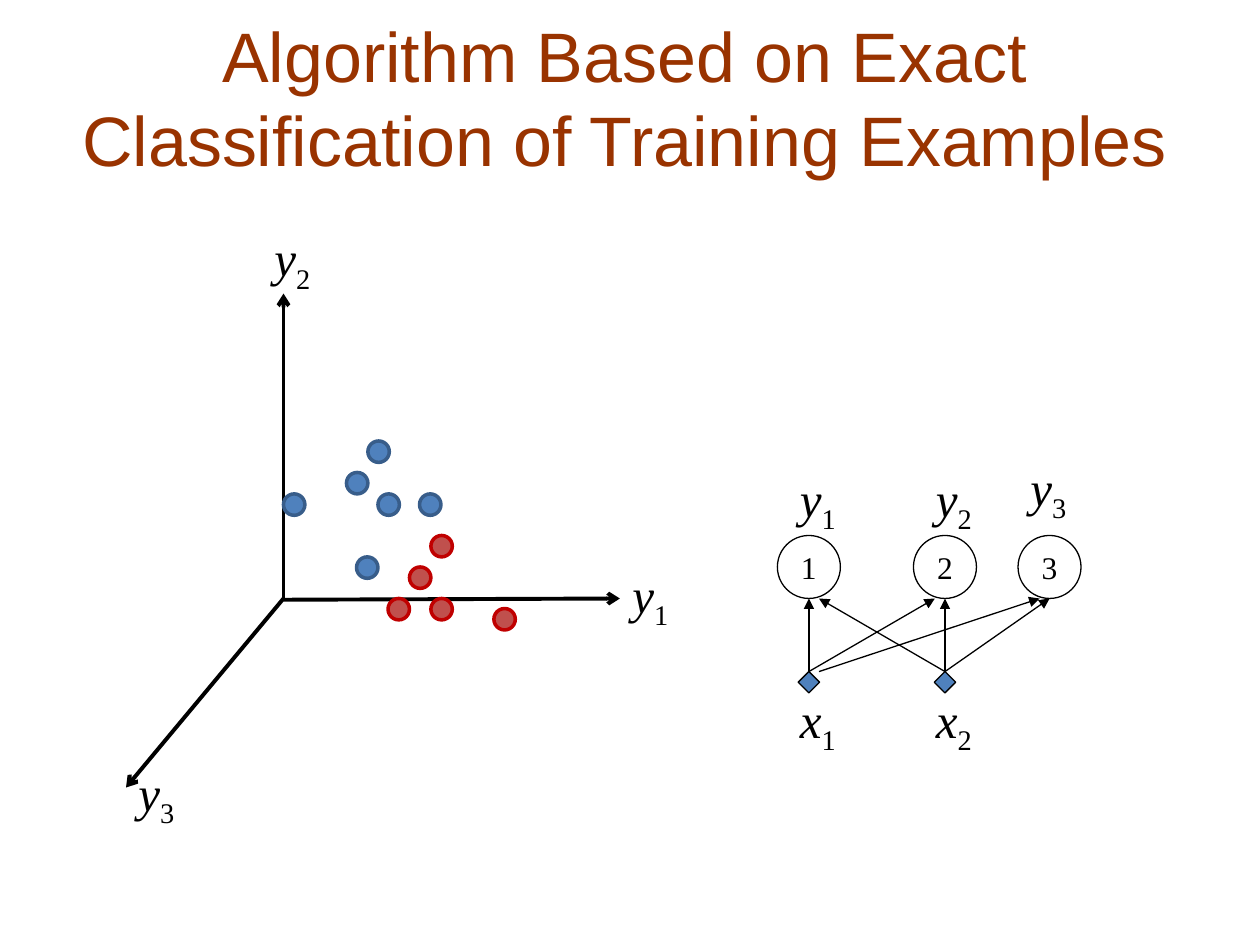
from lxml.etree import SubElement
from pptx import Presentation
from pptx.dml.color import RGBColor
from pptx.enum.shapes import MSO_CONNECTOR as LINK, MSO_SHAPE as SHAPE
from pptx.enum.text import MSO_ANCHOR as ANCHOR, PP_ALIGN as ALIGN
from pptx.oxml.ns import qn
from pptx.util import Inches, Pt

# Content
TITLE = "Algorithm Based on Exact Classification of Training Examples"
SERIF = "Times New Roman"
BLACK, BLUE = "000000", "4F81BD"
DOT, NODE = 0.17, 0.5
NODE_TOP, INPUT_TOP = 4.25, 5.33
NODE_BOTTOM = NODE_TOP + NODE

# Axes as (start, end)
AXES = [((2.25, 4.76), (2.25, 2.33)),
        ((2.25, 4.76), (4.92, 4.75)),
        ((2.25, 4.75), (1, 6.25))]
# Variable labels as (letter, subscript, left, top)
LABELS = [("y", "1", 4.92, 4.43), ("y", "2", 2.08, 1.76), ("y", "3", 1, 6),
          ("x", "1", 6.25, 5.42), ("x", "2", 7.33, 5.42),
          ("y", "1", 6.25, 3.67), ("y", "2", 7.33, 3.67), ("y", "3", 8.08, 3.58)]
# Data classes as (fill, outline, top-left corners)
CLASSES = [
    (BLUE, "385D8A", [(2.75, 3.75), (3, 3.92), (2.92, 3.5),
                      (3.33, 3.92), (2.25, 3.92), (2.83, 4.42)]),
    ("C0504D", "C00000", [(3.25, 4.5), (3.42, 4.75), (3.08, 4.75),
                          (3.42, 4.25), (3.92, 4.83)]),
]
# Network: centre x of each part, and links as (input, start x, end x)
NODES = {"1": 6.42, "2": 7.5, "3": 8.33}
INPUTS = {"x1": 6.42, "x2": 7.5}
LINKS = [("x1", 6.42, 6.42), ("x2", 7.5, 6.5), ("x1", 6.42, 7.42),
         ("x2", 7.5, 7.5), ("x1", 6.5, 8.25), ("x2", 7.5, 8.33)]

deck = Presentation()
deck.slide_width, deck.slide_height = Inches(10), Inches(7.5)
page = deck.slides.add_slide(deck.slide_layouts[6])


def color(value):
    return RGBColor.from_string(value)


def add_span(para, text, size, font=SERIF, ink=BLACK, italic=False):
    span = para.add_run()
    span.text = text
    span.font.size, span.font.name, span.font.italic = Pt(size), font, italic
    span.font.color.rgb = color(ink)
    return span


def add_box(left, top, width, height):
    box = page.shapes.add_textbox(*map(Inches, (left, top, width, height)))
    box.text_frame.word_wrap = True
    return box.text_frame


def add_mark(kind, left, top, size, fill, line, weight):
    mark = page.shapes.add_shape(kind, *map(Inches, (left, top, size, size)))
    mark.shadow.inherit = False
    if fill:
        mark.fill.solid()
        mark.fill.fore_color.rgb = color(fill)
    else:
        mark.fill.background()
    mark.line.color.rgb = color(line)
    mark.line.width = Pt(weight)
    return mark


def add_arrow(start, end, weight, head):
    arrow = page.shapes.add_connector(LINK.STRAIGHT, *map(Inches, start + end))
    arrow.line.color.rgb = color(BLACK)
    arrow.line.width = Pt(weight)
    SubElement(arrow.line._get_or_add_ln(), qn("a:tailEnd"), type=head)
    SubElement(arrow._element.spPr, qn("a:effectLst"))
    return arrow


# Title
frame = add_box(0.08, 0.44, 9.75, 0.65)
frame.vertical_anchor = ANCHOR.MIDDLE
frame.paragraphs[0].alignment = ALIGN.CENTER
add_span(frame.paragraphs[0], TITLE, 40, "Arial", "993300")

# Network nodes and inputs
for number, center in NODES.items():
    node = add_mark(SHAPE.OVAL, center - NODE / 2, NODE_TOP, NODE, None, BLACK, 0.75)
    frame = node.text_frame
    frame.word_wrap = False
    frame.vertical_anchor = ANCHOR.MIDDLE
    frame.paragraphs[0].alignment = ALIGN.CENTER
    add_span(frame.paragraphs[0], number, 18)

diamonds = {name: add_mark(SHAPE.DIAMOND, center - DOT / 2, INPUT_TOP, DOT, BLUE, BLACK, 0.75)
            for name, center in INPUTS.items()}

# Network links
for name, start, end in LINKS:
    link = add_arrow((start, INPUT_TOP), (end, NODE_BOTTOM), 0.75, "triangle")
    if start == INPUTS[name]:
        link.begin_connect(diamonds[name], 0)

# Axes
for start, end in AXES:
    add_arrow(start, end, 2.25, "arrow")

# Variable labels
for letter, subscript, left, top in LABELS:
    para = add_box(left, top, 0.67, 0.63).paragraphs[0]
    add_span(para, letter, 28, italic=True)
    lowered = add_span(para, subscript, 28)
    lowered.font._element.set("baseline", "-25000")

# Training examples
for fill, outline, corners in CLASSES:
    for left, top in corners:
        add_mark(SHAPE.OVAL, left, top, DOT, fill, outline, 2)

deck.save("out.pptx")
